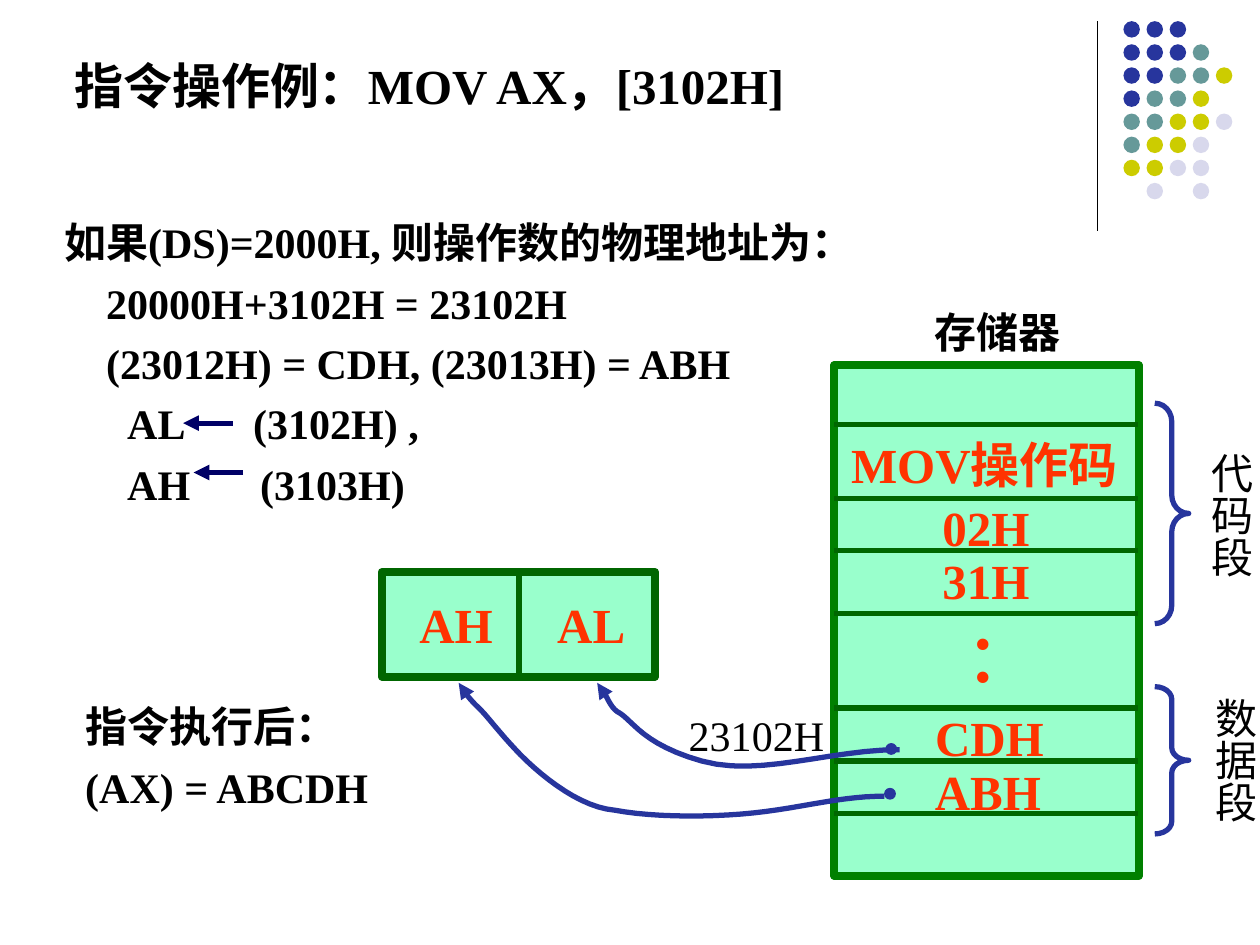
from lxml.etree import SubElement
from pptx import Presentation
from pptx.dml.color import RGBColor
from pptx.enum.shapes import MSO_CONNECTOR, MSO_SHAPE
from pptx.enum.text import MSO_ANCHOR, MSO_AUTO_SIZE, PP_ALIGN
from pptx.oxml.ns import qn
from pptx.util import Pt

COLORS = {
    "black": "000000", "red": "FF3300", "navy": "000066", "blue": "27359D",
    "teal": "669999", "yellow": "CCCC00", "lavender": "D8D8EC",
    "mint": "99FFCC", "green": "008000", "dark_green": "006600",
}
RGB = {name: RGBColor.from_string(value) for name, value in COLORS.items()}
LEFT, CENTER, RIGHT = PP_ALIGN.LEFT, PP_ALIGN.CENTER, PP_ALIGN.RIGHT

prs = Presentation()
prs.slide_width, prs.slide_height = Pt(720), Pt(540)
s = prs.slides.add_slide(prs.slide_layouts[5])


def set_text(sp, lines, size, color="black", bold=True, align=LEFT, spacing=None):
    """Fill a text shape, one paragraph per line, without margins."""
    tf = sp.text_frame
    tf.word_wrap = True
    tf.auto_size = MSO_AUTO_SIZE.NONE
    tf.vertical_anchor = MSO_ANCHOR.TOP
    tf.margin_left = tf.margin_right = tf.margin_top = tf.margin_bottom = 0
    for i, line in enumerate(lines):
        p = tf.add_paragraph() if i else tf.paragraphs[0]
        p.alignment = align
        p.line_spacing = spacing
        r = p.add_run()
        r.text = line
        r.font.name, r.font.size, r.font.bold = "Times New Roman", Pt(size), bold
        r.font.color.rgb = RGB[color]
    return tf


def add_line(x1, y1, x2, y2, color, width):
    """Draw a straight line without a shadow."""
    line = s.shapes.add_connector(MSO_CONNECTOR.STRAIGHT, Pt(x1), Pt(y1), Pt(x2), Pt(y2))
    line.line.color.rgb = RGB[color]
    line.line.width = Pt(width)
    SubElement(line._element.spPr, qn("a:effectLst"))
    return line


# Corner decoration: a rule and a grid of dots
add_line(627, 12.2, 627, 131.8, "black", 0.75)
dot_colors = {"B": "blue", "T": "teal", "Y": "yellow", "L": "lavender"}
dot_rows = ["BBB", "BBBT", "BBTTY", "BTTY", "TTYYL", "TYYL", "YYLL", " L L"]
for row, keys in enumerate(dot_rows):
    for col, key in enumerate(keys):
        if key in dot_colors:
            dot = s.shapes.add_shape(MSO_SHAPE.OVAL, Pt(642 + 13.2 * col),
                                     Pt(12.1 + 13.2 * row), Pt(9.4), Pt(9.4))
            dot.shadow.inherit = False
            dot.fill.solid()
            dot.fill.fore_color.rgb = RGB[dot_colors[key]]
            dot.line.fill.background()

# Title
title = s.shapes.title
title.left, title.top, title.width, title.height = Pt(42.5), Pt(31.7), Pt(570), Pt(77.8)
set_text(title, ["指令操作例：MOV AX，[3102H]"], 28)

# Address calculation; the gap after AL and AH holds an arrow
calculation = s.shapes.add_textbox(Pt(36.7), Pt(118), Pt(560), Pt(175))
tf = set_text(calculation, [
    "如果(DS)=2000H, 则操作数的物理地址为：",
    "20000H+3102H = 23102H",
    "(23012H) = CDH, (23013H) = ABH",
    "AL\t(3102H) ,",
    "AH\t(3103H)",
], 24, spacing=1.2)
for p, (margin, first) in zip(tf.paragraphs, [(0, 0), (24, 0), (24, 0), (108, -72), (112, -76)]):
    pPr = p._p.get_or_add_pPr()
    pPr.set("marL", str(Pt(margin)))
    pPr.set("indent", str(Pt(first)))

for x, y in [(133, 241.8), (139, 270)]:
    arrow = add_line(x, y, x - 28.4, y, "navy", 3)
    SubElement(arrow.line._get_or_add_ln(), qn("a:tailEnd"), type="triangle")

# Result
result = s.shapes.add_textbox(Pt(48.7), Pt(394.6), Pt(250), Pt(70))
set_text(result, ["指令执行后：", "(AX) = ABCDH"], 24, spacing=1.2)

# Memory column and AX register
for x, y, w, h, border in [(476.6, 208.8, 174.2, 291.6, "green"),
                           (218.2, 326.9, 156.2, 59.8, "dark_green")]:
    sp = s.shapes.add_shape(MSO_SHAPE.RECTANGLE, Pt(x), Pt(y), Pt(w), Pt(h))
    sp.shadow.inherit = False
    sp.fill.solid()
    sp.fill.fore_color.rgb = RGB["mint"]
    sp.line.color.rgb = RGB[border]
    sp.line.width = Pt(4.5)
for y in [242.6, 284.8, 314.6, 350.6, 404.6, 434.9, 464.8]:
    add_line(476.6, y, 650.4, y, "dark_green", 3)
add_line(296.6, 326.9, 296.6, 386.7, "dark_green", 3)

# Cell contents
for text, center, top, width in [
    ("MOV操作码", 562.4, 248.4, 170), ("02H", 563.4, 284.4, 80),
    ("31H", 563.4, 314.6, 80), ("CDH", 565.4, 404.6, 80), ("ABH", 564.5, 434.9, 80),
    ("AH", 260.6, 339.8, 60), ("AL", 337.8, 339.8, 60),
]:
    cell = s.shapes.add_textbox(Pt(center - width / 2), Pt(top), Pt(width), Pt(33.8))
    set_text(cell, [text], 28, "red", align=CENTER)
dots = s.shapes.add_textbox(Pt(534.2), Pt(355.7), Pt(55.4), Pt(38.2))
set_text(dots, [".", "."], 40, "red", align=CENTER, spacing=0.4)

# Curved arrows from memory to the register: start, then Bezier triples
curves = [
    [(341.3, 390.2), (346.3, 394.6), (347.8, 404.6), (354.2, 407.5),
     (362.2, 412.6), (367.9, 425.5), (401, 434.9),
     (434.2, 444.2), (473.8, 428.4), (514.1, 428.4)],
    [(262.1, 390.2), (265, 395.3), (268.6, 399.6), (272.2, 403.2),
     (278.6, 409), (283, 416.2), (297.4, 431.3),
     (311.8, 445.7), (332.6, 461.5), (351.4, 463),
     (373.7, 467.3), (411.1, 467.3), (437.8, 463.7),
     (464.4, 460.1), (482.4, 455), (505.4, 455)],
]
STEPS = 12
for curve in curves:
    points = []
    for i in range(0, len(curve) - 1, 3):
        for step in range(1, STEPS + 1):
            t = step / STEPS
            weights = [(1 - t) ** 3, 3 * t * (1 - t) ** 2, 3 * t ** 2 * (1 - t), t ** 3]
            points.append([Pt(sum(w * pt[axis] for w, pt in zip(weights, curve[i:i + 4])))
                           for axis in (0, 1)])
    builder = s.shapes.build_freeform(Pt(curve[0][0]), Pt(curve[0][1]))
    builder.add_line_segments(points, close=False)
    sp = builder.convert_to_shape()
    sp.shadow.inherit = False
    sp.fill.background()
    sp.line.color.rgb = RGB["blue"]
    sp.line.width = Pt(3)
    SubElement(sp.line._get_or_add_ln(), qn("a:headEnd"), type="triangle")
for x, y in [(505.6, 450.6), (506.3, 425)]:
    dot = s.shapes.add_shape(MSO_SHAPE.OVAL, Pt(x), Pt(y), Pt(6), Pt(6))
    dot.shadow.inherit = False
    dot.fill.solid()
    dot.fill.fore_color.rgb = dot.line.color.rgb = RGB["blue"]
    dot.line.width = Pt(0.75)

# Memory captions
address = s.shapes.add_textbox(Pt(375.1), Pt(405.4), Pt(95.8), Pt(28.8))
set_text(address, ["23102H"], 24, bold=False, align=RIGHT)
caption = s.shapes.add_textbox(Pt(534.2), Pt(175), Pt(79.2), Pt(28.8))
set_text(caption, ["存储器"], 24)

# Segments: brace and vertical name
for name, top, height, curl, x, y in [("代码段", 230.4, 126, 0.54, 689, 258.5),
                                      ("数据段", 392.4, 84.2, 0.37, 691.2, 398.9)]:
    brace = s.shapes.add_shape(MSO_SHAPE.RIGHT_BRACE, Pt(659.9), Pt(top), Pt(19.4), Pt(height))
    brace.adjustments[0] = curl
    brace.shadow.inherit = False
    brace.fill.background()
    brace.line.color.rgb = RGB["blue"]
    brace.line.width = Pt(3)
    label = s.shapes.add_textbox(Pt(x), Pt(y), Pt(28.8), Pt(84.2))
    tf = set_text(label, [name], 24, bold=False)
    tf._txBody.bodyPr.set("vert", "eaVert")

prs.save("out.pptx")
